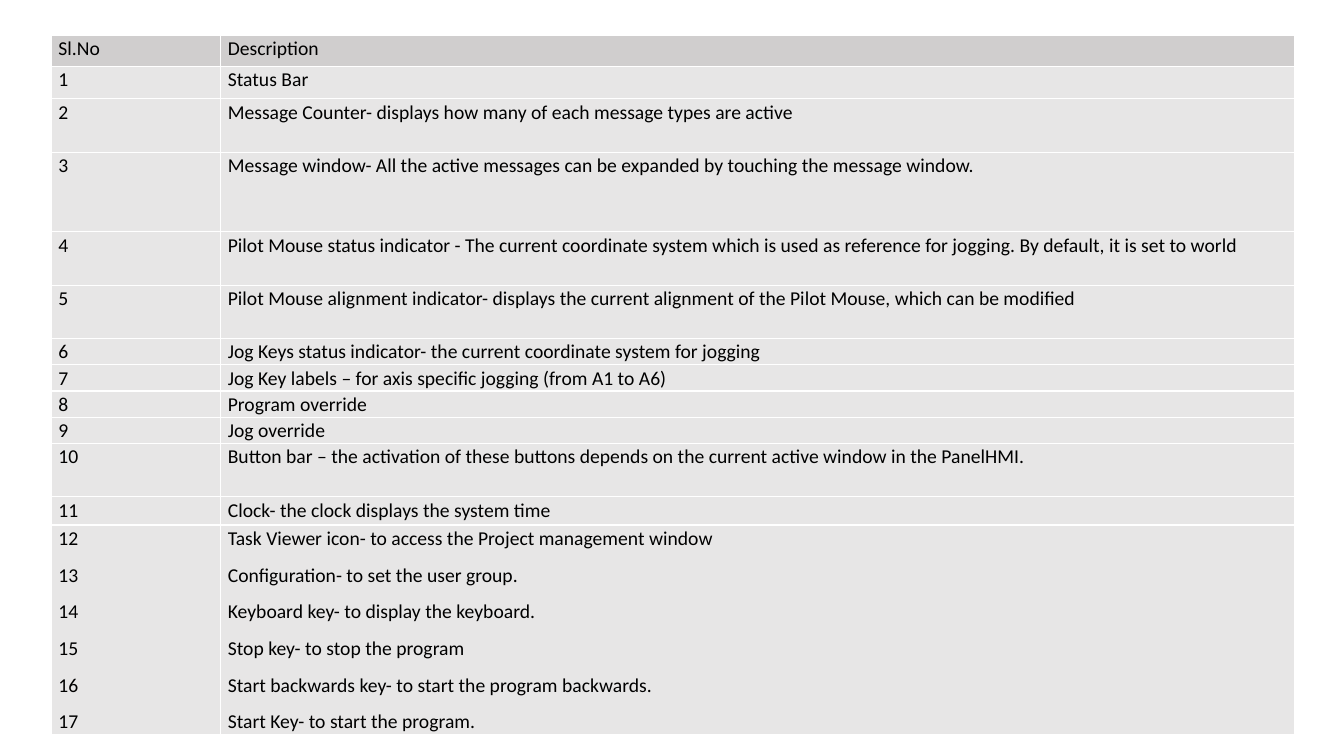
from dataclasses import dataclass

from pptx import Presentation
from pptx.dml.color import RGBColor
from pptx.enum.dml import MSO_FILL
from pptx.oxml import parse_xml
from pptx.oxml.ns import nsdecls
from pptx.table import _Cell
from pptx.util import Inches, Pt

HEADER_FILL = "D0CECE"
BODY_FILL = "E7E6E6"
BORDER = "FFFFFF"
TEXT = "000000"
COLUMN_WIDTHS = (1.68, 10.65)


@dataclass(frozen=True)
class Entry:
    height: float
    descriptions: tuple[str, ...]


ENTRIES = (
    Entry(0.32, ("Status Bar",)),
    Entry(0.53, ("Message Counter- displays how many of each message types are active",)),
    Entry(0.79, ("Message window- All the active messages can be expanded by touching the message window.",)),
    Entry(0.53, (
        "Pilot Mouse status indicator - The current coordinate system which is used as reference "
        "for jogging. By default, it is set to world",
    )),
    Entry(0.53, (
        "Pilot Mouse alignment indicator- displays the current alignment of the Pilot Mouse, "
        "which can be modified",
    )),
    Entry(0.26, ("Jog Keys status indicator- the current coordinate system for jogging",)),
    Entry(0.26, ("Jog Key labels – for axis specific jogging (from A1 to A6)",)),
    Entry(0.26, ("Program override",)),
    Entry(0.26, ("Jog override",)),
    Entry(0.53, (
        "Button bar – the activation of these buttons depends on the current active window "
        "in the PanelHMI.",
    )),
    Entry(0.28, ("Clock- the clock displays the system time",)),
    Entry(2.08, (
        "Task Viewer icon- to access the Project management window",
        "Configuration- to set the user group.",
        "Keyboard key- to display the keyboard.",
        "Stop key- to stop the program",
        "Start backwards key- to start the program backwards.",
        "Start Key- to start the program.",
    )),
)


def color(value: str) -> RGBColor:
    return RGBColor.from_string(value)


def add_borders(cell: _Cell) -> None:
    tc_pr = cell._tc.get_or_add_tcPr()
    for side in ("lnL", "lnR", "lnT", "lnB"):
        tc_pr.append(parse_xml(
            f'<a:{side} {nsdecls("a")} w="{Pt(1)}"><a:solidFill>'
            f'<a:srgbClr val="{BORDER}"/></a:solidFill></a:{side}>'
        ))


def fill_cell(cell: _Cell, lines: tuple[str, ...], fill: str) -> None:
    add_borders(cell)
    cell.fill.solid()
    cell.fill.fore_color.rgb = color(fill)
    cell.margin_left = cell.margin_right = Inches(0.07)
    cell.margin_top = cell.margin_bottom = 0
    tf = cell.text_frame
    tf.text = "\n".join(lines)
    for p in tf.paragraphs:
        p.line_spacing = 1.07
        p.space_after = Pt(8)
        for r in p.runs:
            r.font.name = "Calibri"
            r.font.size = Pt(14)
            r.font.color.rgb = color(TEXT)


def main() -> None:
    prs = Presentation()
    prs.slide_width = Inches(13.33)
    prs.slide_height = Inches(7.5)
    s = prs.slides.add_slide(prs.slide_layouts[6])

    table = s.shapes.add_table(
        len(ENTRIES) + 1, len(COLUMN_WIDTHS),
        Inches(0.51), Inches(0.35), Inches(12.33), Inches(6.95),
    ).table
    for column, width in zip(table.columns, COLUMN_WIDTHS):
        column.width = Inches(width)

    table.rows[0].height = Inches(0.31)
    for i, heading in enumerate(("Sl.No", "Description")):
        fill_cell(table.cell(0, i), (heading,), HEADER_FILL)

    number = 1
    for i, entry in enumerate(ENTRIES, start=1):
        following = number + len(entry.descriptions)
        table.rows[i].height = Inches(entry.height)
        fill_cell(table.cell(i, 0), tuple(map(str, range(number, following))), BODY_FILL)
        fill_cell(table.cell(i, 1), entry.descriptions, BODY_FILL)
        number = following

    for r in table.cell(0, 0).text_frame.paragraphs[0].runs + table.cell(0, 1).text_frame.paragraphs[0].runs:
        r.font.bold = False

    prs.save("out.pptx")


if __name__ == "__main__":
    main()
